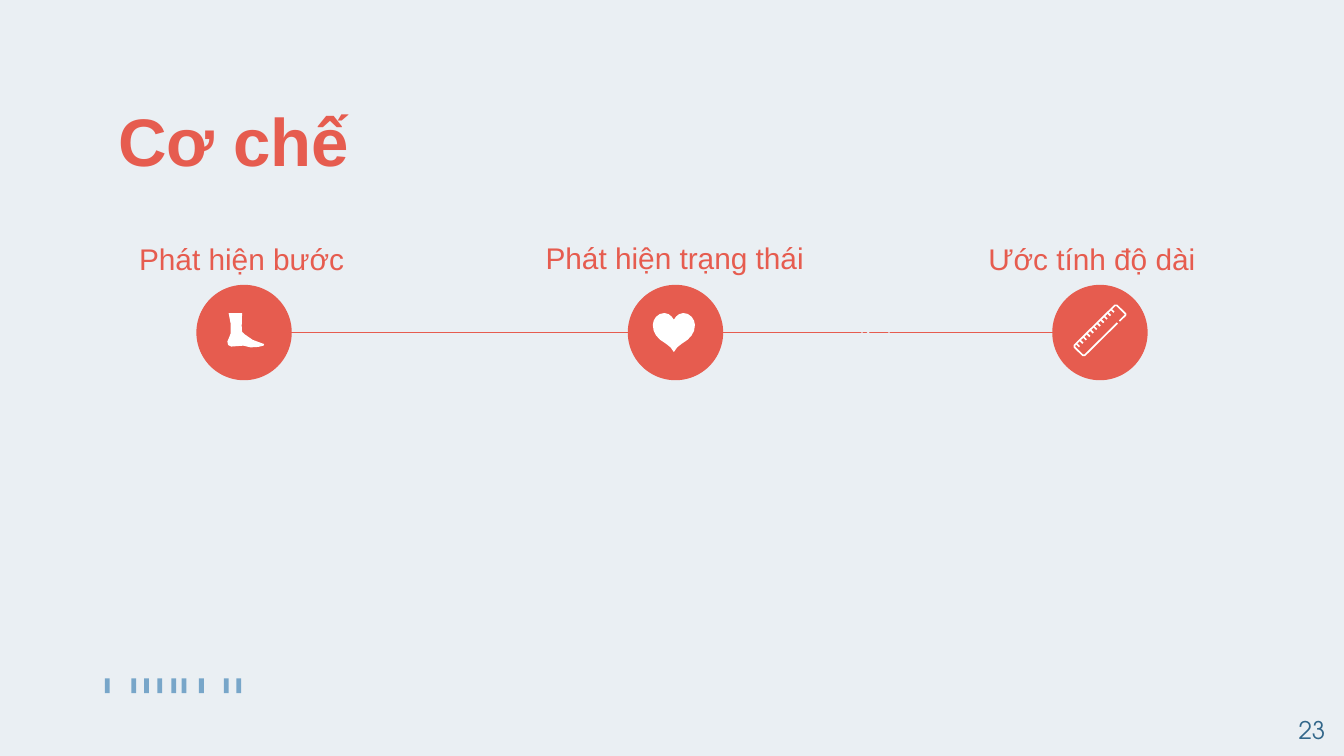
import pptx
import pptx.dml.color
import pptx.enum.shapes
import pptx.enum.text
import pptx.oxml
import pptx.util

Pt = pptx.util.Pt
SHAPE = pptx.enum.shapes.MSO_SHAPE
ANCHOR = pptx.enum.text.MSO_ANCHOR
ALIGN = pptx.enum.text.PP_ALIGN

CORAL, PALE, BLUE, NAVY, WHITE = "E65C4F", "EAEFF3", "78A6C9", "33678A", "FFFFFF"
CIRCLE = 51.1

FOOT = [(17.3, 15.1), (18.4, 21), (18.4, 26), (17.3, 28.8), (16.6, 30.4), (17, 32.2),
        (18.7, 33.1), (22.3, 32.8), (25.2, 32.6), (29, 33.5), (33, 33.3), (36, 32.6),
        (36.3, 31.7), (35.3, 31.4), (30.2, 29.5), (26, 26.6), (24.5, 25.2), (24.3, 22),
        (24.5, 15.1)]
HEART_HALF = [(0, 18.7), (1.2, 17), (2.8, 15.7), (5, 15.1), (7.5, 15.6), (9.6, 17.2),
              (10.8, 19.2), (11.3, 21.5), (10.8, 24.6), (9.5, 27.2), (7.3, 29.5),
              (4.3, 31.5), (1.8, 33.5), (0, 36)]
HEART = [(24.7 + x, y) for x, y in HEART_HALF] + [(24.7 - x, y) for x, y in HEART_HALF[-2:0:-1]]
RULER = [[(34.9, 20.5), (17.4, 37.8), (16.4, 37.8), (11.9, 33.4), (11.9, 32.4),
          (33.6, 11), (34.6, 11), (39.2, 15.5), (39.2, 16.3), (36, 19.4)]]
RULER += [[(13 + 1.85 * i, 31.6 - 1.85 * i), (14.6 + 1.85 * i, 33.2 - 1.85 * i)]
          for i in range(11)]
EASEL = [[(0, 1.5), (17, 1.5), (17, 3.9), (0, 3.9)],
         [(0.7, 3.9), (1.4, 3.9), (1.4, 18.4), (15.1, 18.4), (15.1, 3.9), (15.8, 3.9),
          (15.8, 19), (0.7, 19)],
         [(3.2, 14.6), (7, 10.8), (8.6, 12), (13.6, 6.6), (13.6, 8), (8.6, 13), (7, 12),
          (3.6, 15.2)],
         [(2.8, 19), (3.4, 19), (2.2, 27), (1.5, 27)],
         [(13.2, 19), (13.8, 19), (15, 27), (14.3, 27)]]


def rgb(code):
    """Turn a hex string into a colour."""
    return pptx.dml.color.RGBColor.from_string(code)


def paint(shape, color):
    """Give a shape a flat fill without line or shadow."""
    shape.shadow.inherit = False
    shape.fill.solid()
    shape.fill.fore_color.rgb = rgb(color)
    shape.line.fill.background()


def add_block(page, preset, left, top, width, height, color):
    """Add a flat preset shape."""
    shape = page.shapes.add_shape(preset, Pt(left), Pt(top), Pt(width), Pt(height))
    paint(shape, color)


def add_outline(page, left, top, contours, closed=True):
    """Build one freeform from contours relative to a corner."""
    placed = [[(Pt(left + x), Pt(top + y)) for x, y in contour] for contour in contours]
    builder = page.shapes.build_freeform(*placed[0][0], scale=1.0)
    for index, contour in enumerate(placed):
        if index:
            builder.move_to(*contour[0])
        builder.add_line_segments(contour[1:], close=closed)
    shape = builder.convert_to_shape()
    shape.shadow.inherit = False
    return shape


def add_text(page, box, text, size, color, font="Arial", bold=False,
             align=ALIGN.LEFT, anchor=ANCHOR.TOP, inset_top=7.2):
    """Add a one-paragraph text box."""
    frame = page.shapes.add_textbox(*map(Pt, box)).text_frame
    frame.word_wrap = True
    frame.vertical_anchor = anchor
    frame.margin_top = Pt(inset_top)
    para = frame.paragraphs[0]
    para.text = text
    para.alignment = align
    para.font.name = font
    para.font.size = Pt(size)
    para.font.bold = bold
    para.font.color.rgb = rgb(color)


def add_tally(page, left, top):
    """Place the row of small bars at the foot of the page."""
    for offset in (0, 14.2, 21, 28.1, 35.6, 41.1, 50.4, 63.7, 70.4):
        add_block(page, SHAPE.RECTANGLE, left + offset, top, 2.6, 7.9, BLUE)


def add_rail(page, left, right, y):
    """Draw the line that joins the steps."""
    line = page.shapes.add_connector(
        pptx.enum.shapes.MSO_CONNECTOR.STRAIGHT, Pt(left), Pt(y), Pt(right), Pt(y))
    line.line.color.rgb = rgb(CORAL)
    line.line.width = Pt(0.75)
    line._element.spPr.append(pptx.oxml.parse_xml(
        '<a:effectLst xmlns:a="http://schemas.openxmlformats.org/drawingml/2006/main"/>'))


def add_step(page, left, top, label, label_box, contours, closed=True):
    """Place a circle with its icon and the label above it."""
    add_text(page, label_box, label, 16, CORAL, align=ALIGN.CENTER, anchor=ANCHOR.BOTTOM)
    add_block(page, SHAPE.OVAL, left, top, CIRCLE, CIRCLE, CORAL)
    icon = add_outline(page, left, top, contours, closed)
    if closed:
        paint(icon, WHITE)
    else:
        icon.fill.background()
        icon.line.color.rgb = rgb(WHITE)
        icon.line.width = Pt(0.9)


def add_timeline(page, top):
    """Place the rail, the easel and the three steps."""
    add_rail(page, 130.3, 589.7, top + CIRCLE / 2)
    paint(add_outline(page, 460.8, top + 11.5, EASEL), PALE)
    add_step(page, 105.2, top, "Phát hiện bước", (55, top - 36, 149, 35.3), [FOOT])
    add_step(page, 336.3, top, "Phát hiện trạng thái", (278, top - 36.6, 167, 35.3), [HEART])
    add_step(page, 563.7, top, "Ước tính độ dài", (510.5, top - 36.5, 149, 35.3), RULER, False)


def build_mechanism(deck):
    """Build the mechanism slide."""
    page = deck.slides.add_slide(deck.slide_layouts[6])
    page.background.fill.solid()
    page.background.fill.fore_color.rgb = rgb(PALE)
    add_tally(page, 56.2, 363.5)
    add_text(page, (56.2, 42.5, 611.3, 48.2), "Cơ chế", 36, CORAL, bold=True, inset_top=10.8)
    add_timeline(page, 152.6)
    add_text(page, (673.9, 373.7, 43.2, 31), "23", 13, NAVY, font="TeX Gyre Adventor",
             align=ALIGN.RIGHT, anchor=ANCHOR.MIDDLE)


def main():
    """Create the deck and save it."""
    deck = pptx.Presentation()
    deck.slide_width, deck.slide_height = Pt(720), Pt(405)
    build_mechanism(deck)
    deck.save("out.pptx")


if __name__ == "__main__":
    main()
